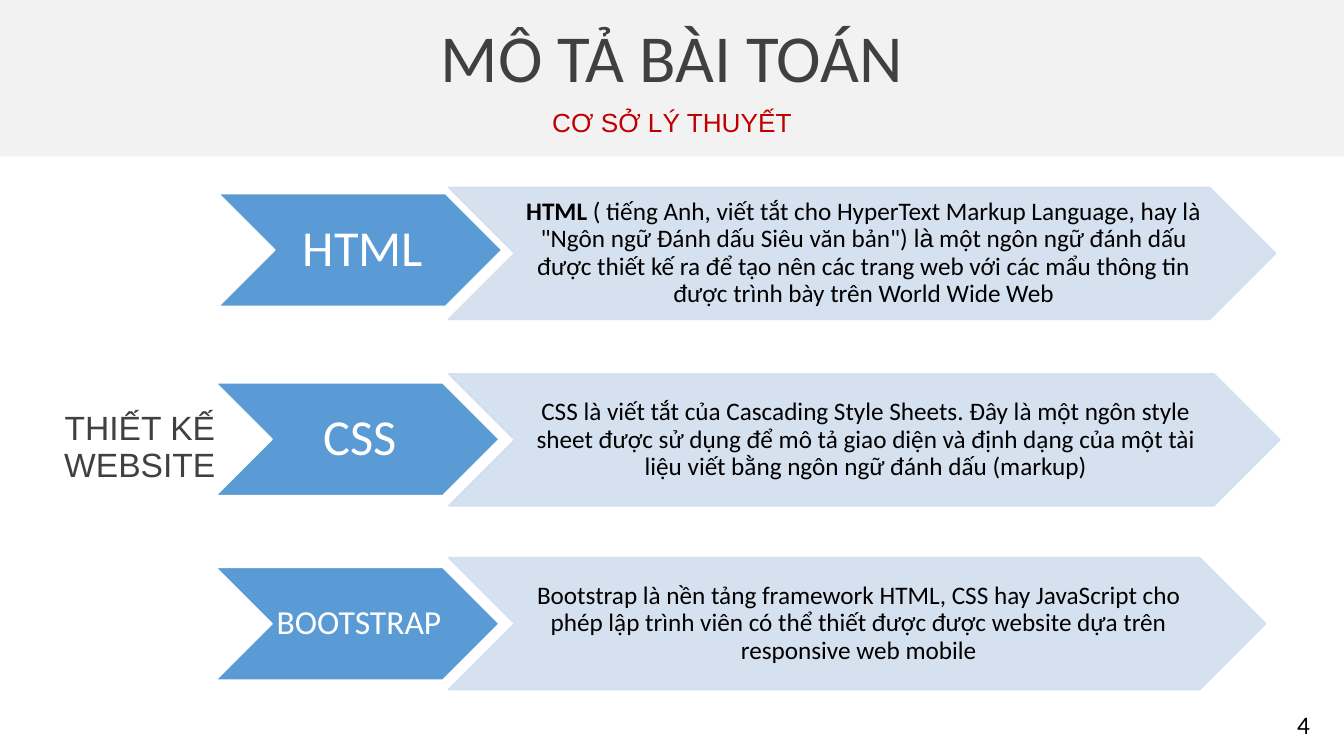
"""Build the theory slide on website design: HTML, CSS and Bootstrap."""
from lxml import etree
from pptx import Presentation
from pptx.dml.color import RGBColor
from pptx.enum.shapes import MSO_SHAPE as Shape
from pptx.enum.text import MSO_ANCHOR as Anchor, PP_ALIGN as Align
from pptx.oxml.ns import qn
from pptx.util import Cm, Pt

SLIDE = (33.87, 19.05)
BAND_HEIGHT = 3.94
BLUE, PALE, WHITE, BLACK = "5B9BD5", "D2DEEF", "FFFFFF", "000000"
GREY, RED, BAND = "404040", "C00000", "F2F2F2"
STEP_SIZE = (7.14, 2.84)
DETAIL_LEFT, DETAIL_HEIGHT = 11.3, 3.33

CAPTIONS = [
    ("MÔ TẢ BÀI TOÁN", (0, 0.46, SLIDE[0], 2.13), 48, "Calibri", GREY),
    ("CƠ SỞ LÝ THUYẾT", (0, 2.59, SLIDE[0], 1.07), 18.7, "Arial", RED),
    ("THIẾT KẾ WEBSITE", (1.3, 8.92, 4.45, 4.75), 24, "Arial", GREY),
]
PAGE_NUMBER = ("4", (32.44, 17.75, 1.42, 1.02))

STEPS = [
    {"name": "HTML", "size": 36, "at": (5.51, 4.88),
     "detail_top": 4.72, "detail_width": 20.85,
     "detail": [
         ("HTML", "Calibri", True),
         (" ( tiếng Anh, viết tắt cho HyperText Markup Language, "
          "hay là \"Ngôn ngữ Đánh dấu Siêu văn bản\") ", "Calibri", False),
         ("là", "Arial", False),
         (" một ngôn ngữ đánh dấu được thiết kế ra để tạo nên các trang web "
          "với các mẩu thông tin được trình bày trên World Wide Web",
          "Calibri", False)]},
    {"name": "CSS", "size": 36, "at": (5.44, 9.65),
     "detail_top": 9.42, "detail_width": 20.96,
     "detail": [
         ("CSS là viết tắt của Cascading Style Sheets. Đây là một ngôn style "
          "sheet được sử dụng để mô tả giao diện và định dạng của một tài "
          "liệu viết bằng ngôn ngữ đánh dấu (markup)", "Calibri", False)]},
    {"name": "BOOTSTRAP", "size": 24, "at": (5.44, 14.3),
     "detail_top": 14.05, "detail_width": 20.6,
     "detail": [
         ("Bootstrap là nền tảng framework HTML, CSS hay JavaScript cho "
          "phép lập trình viên có thể thiết được được website dựa trên "
          "responsive web mobile", "Calibri", False)]},
]


def paint(target, color):
    target.solid()
    target.fore_color.rgb = RGBColor.from_string(color)


def set_alpha(fill_owner, percent):
    for color in fill_owner.iter(qn("a:srgbClr")):
        etree.SubElement(color, qn("a:alpha")).set("val", str(percent * 1000))


def write(shape, runs, size, color, **formats):
    frame = shape.text_frame
    paragraph = frame.paragraphs[0]
    frame_formats = {"word_wrap": True, "vertical_anchor": Anchor.MIDDLE}
    paragraph_formats = {"alignment": Align.CENTER, "line_spacing": 0.9}
    for name, value in formats.items():
        owner = frame_formats if hasattr(frame, name) else paragraph_formats
        owner[name] = value
    for target, values in ((frame, frame_formats), (paragraph, paragraph_formats)):
        for name, value in values.items():
            setattr(target, name, value)
    for text, font_name, bold in runs:
        run = paragraph.add_run()
        run.text = text
        for name, value in {"name": font_name, "size": Pt(size), "bold": bold}.items():
            setattr(run.font, name, value)
        paint(run.font.fill, color)


def add_block(slide, kind, box, color):
    block = slide.shapes.add_shape(kind, *map(Cm, box))
    block.shadow.inherit = False
    paint(block.fill, color)
    block.line.fill.background()
    return block


def add_chevron(slide, box, color, line_color, runs, size, text_color, left, edge):
    chevron = add_block(slide, Shape.CHEVRON, box, color)
    paint(chevron.line.fill, line_color)
    chevron.line.width = Pt(1)
    write(chevron, runs, size, text_color, margin_left=Cm(left),
          margin_right=0, margin_top=Cm(edge), margin_bottom=Cm(edge))
    return chevron


def main():
    deck = Presentation()
    deck.slide_width, deck.slide_height = map(Cm, SLIDE)
    slide = deck.slides.add_slide(deck.slide_layouts[6])

    add_block(slide, Shape.RECTANGLE, (0, 0, SLIDE[0], BAND_HEIGHT), BAND)
    for text, box, size, font_name, color in CAPTIONS:
        caption = slide.shapes.add_textbox(*map(Cm, box))
        write(caption, [(text, font_name, False)], size, color, space_before=Pt(10))

    for step in STEPS:
        add_chevron(slide, step["at"] + STEP_SIZE, BLUE, WHITE,
                    [(step["name"], "Calibri", False)], step["size"], WHITE,
                    0.13 if step["size"] > 30 else 0.08, 0.08)
        detail_box = (DETAIL_LEFT, step["detail_top"], step["detail_width"], DETAIL_HEIGHT)
        detail = add_chevron(slide, detail_box, PALE, PALE, step["detail"],
                             18, BLACK, 0.08, 0.03)
        set_alpha(detail.element.spPr, 90)

    number, box = PAGE_NUMBER
    page = slide.shapes.add_textbox(*map(Cm, box))
    write(page, [(number, "Calibri", False)], 18, BLACK, alignment=Align.LEFT,
          line_spacing=1.0, vertical_anchor=Anchor.TOP)
    deck.save("out.pptx")


if __name__ == "__main__":
    main()
